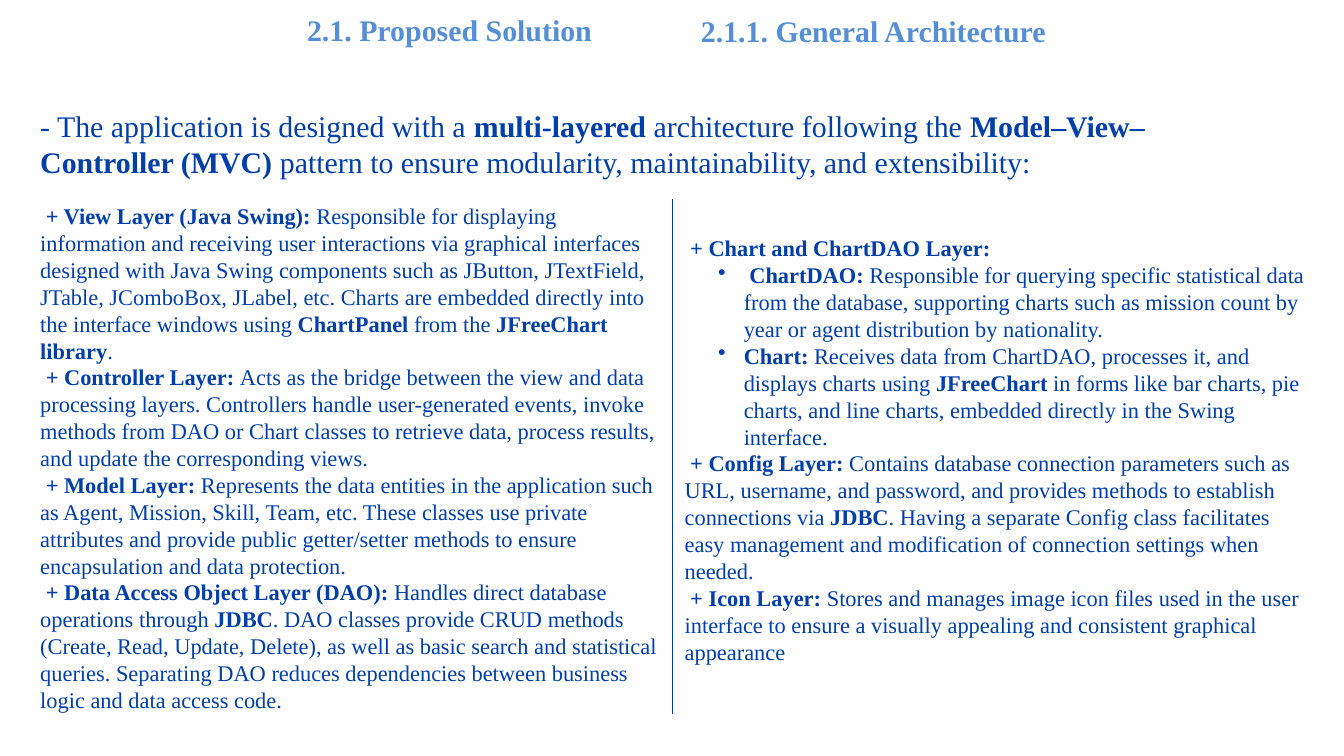
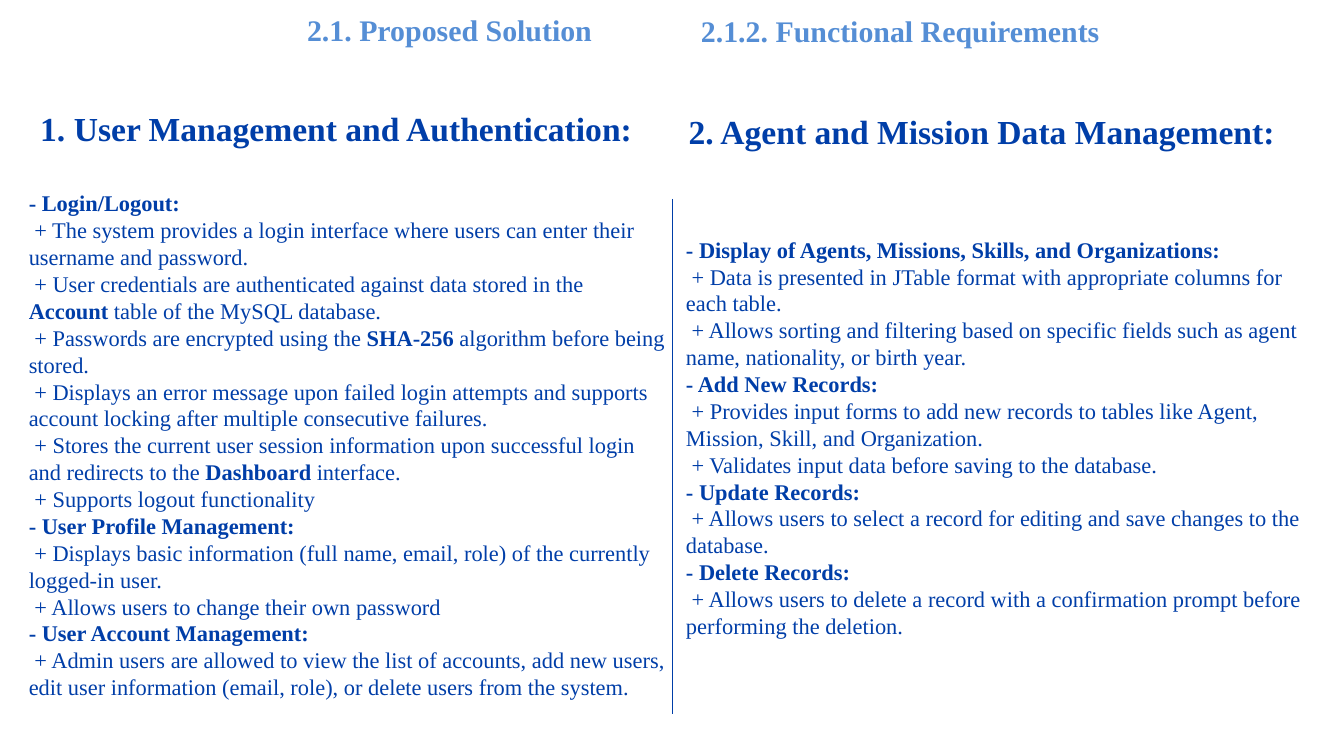
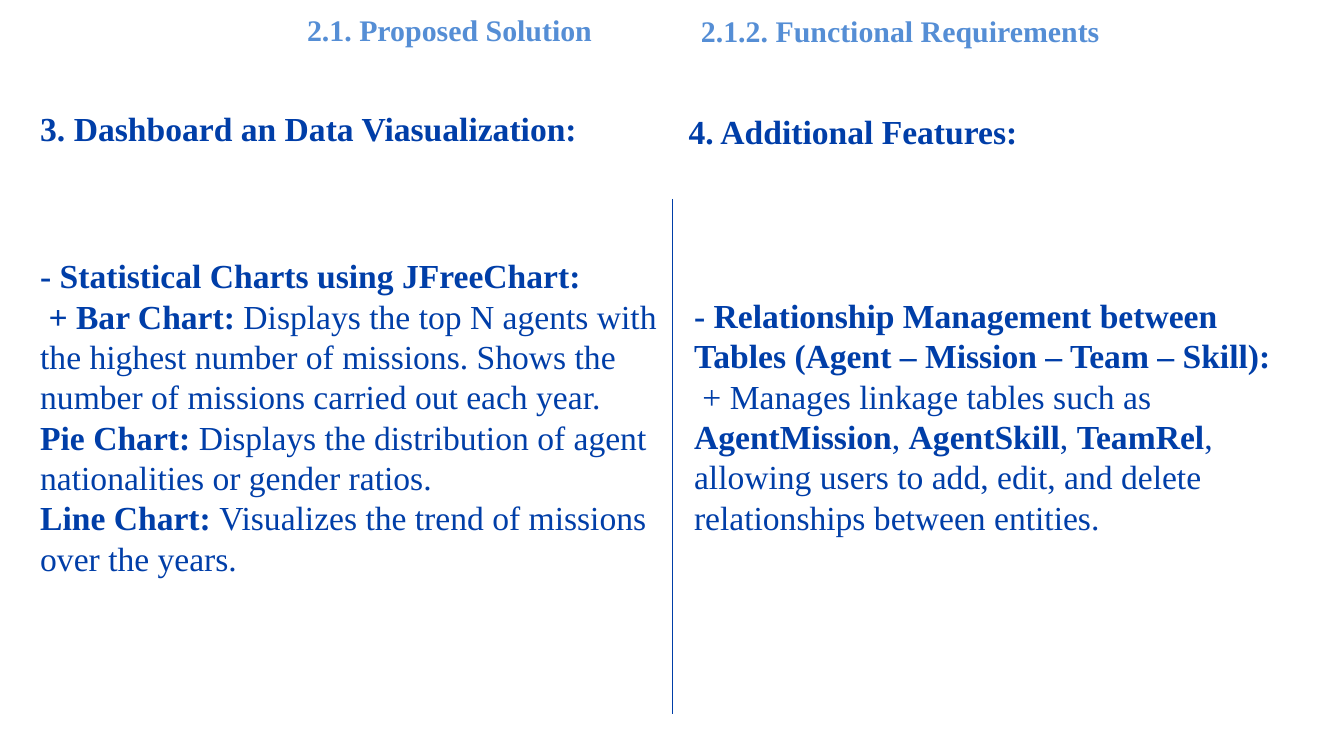
from lxml import etree
from pptx import Presentation
from pptx.dml.color import RGBColor
from pptx.enum.shapes import MSO_CONNECTOR, MSO_SHAPE
from pptx.enum.text import MSO_ANCHOR, MSO_AUTO_SIZE, PP_ALIGN
from pptx.oxml.ns import qn
from pptx.util import Inches, Pt

# Content: **marks** enclose bold words, a leading • makes a bullet.
SECTION = "2.1. Proposed Solution"
ARCHITECTURE = ("2.1.1. General Architecture", 5.39)  # title, width
REQUIREMENTS = ("2.1.2. Functional Requirements", 6.19)

VIEW_TO_DAO = [
    "** + View Layer (Java Swing): **Responsible for displaying information and receiving user interactions via graphical interfaces designed with Java Swing components such as JButton, JTextField, JTable, JComboBox, JLabel, etc. Charts are embedded directly into the interface windows using **ChartPanel** from the **JFreeChart library**.",
    "** + Controller Layer: **Acts as the bridge between the view and data processing layers. Controllers handle user-generated events, invoke methods from DAO or Chart classes to retrieve data, process results, and update the corresponding views.",
    "** + Model Layer: **Represents the data entities in the application such as Agent, Mission, Skill, Team, etc. These classes use private attributes and provide public getter/setter methods to ensure encapsulation and data protection.",
    "** + Data Access Object Layer (DAO): **Handles direct database operations through **JDBC**. DAO classes provide CRUD methods (Create, Read, Update, Delete), as well as basic search and statistical queries. Separating DAO reduces dependencies between business logic and data access code.",
]
CHART_TO_ICON = [
    "** + Chart and ChartDAO Layer:**",
    "•** ChartDAO:** Responsible for querying specific statistical data from the database, supporting charts such as mission count by year or agent distribution by nationality.",
    "•**Chart:** Receives data from ChartDAO, processes it, and displays charts using **JFreeChart** in forms like bar charts, pie charts, and line charts, embedded directly in the Swing interface.",
    "** + Config Layer: **Contains database connection parameters such as URL, username, and password, and provides methods to establish connections via** JDBC**. Having a separate Config class facilitates easy management and modification of connection settings when needed.",
    "** + Icon Layer: **Stores and manages image icon files used in the user interface to ensure a visually appealing and consistent graphical appearance",
]
USERS = [
    "**- Login/Logout:**",
    " + The system provides a login interface where users can enter their username and password.",
    " + User credentials are authenticated against data stored in the **Account** table of the MySQL database.",
    " + Passwords are encrypted using the **SHA-256** algorithm before being stored.",
    " + Displays an error message upon failed login attempts and supports account locking after multiple consecutive failures.",
    " + Stores the current user session information upon successful login and redirects to the **Dashboard** interface.",
    " + Supports logout functionality",
    "**- User Profile Management:**",
    " + Displays basic information (full name, email, role) of the currently logged-in user.",
    " + Allows users to change their own password",
    "**- User Account Management:**",
    " + Admin users are allowed to view the list of accounts, add new users, edit user information (email, role), or delete users from the system.",
]
RECORDS = [
    "**- Display of Agents, Missions, Skills, and Organizations:**",
    " + Data is presented in JTable format with appropriate columns for each table.",
    " + Allows sorting and filtering based on specific fields such as agent name, nationality, or birth year.",
    "**- Add New Records:**",
    " + Provides input forms to add new records to tables like Agent, Mission, Skill, and Organization.",
    " + Validates input data before saving to the database.",
    "**- Update Records:**",
    " + Allows users to select a record for editing and save changes to the database.",
    "**- Delete Records:**",
    " + Allows users to delete a record with a confirmation prompt before performing the deletion.",
]
CHARTS = [
    "**- Statistical Charts using JFreeChart:**",
    "** + Bar Chart: **Displays the top N agents with the highest number of missions. Shows the number of missions carried out each year.",
    "**Pie Chart: **Displays the distribution of agent nationalities or gender ratios.",
    "**Line Chart: **Visualizes the trend of missions over the years.",
]
RELATIONS = [
    "**- Relationship Management between Tables (Agent – Mission – Team – Skill):**",
    " + Manages linkage tables such as **AgentMission**, **AgentSkill**, **TeamRel**, allowing users to add, edit, and delete relationships between entities.",
]
MVC = "- The application is designed with a **multi-layered** architecture following the **Model–View–Controller (MVC)** pattern to ensure modularity, maintainability, and extensibility:"

# Style and shared places (left, top, width, height in inches)
WIDTH, HEIGHT = 20, 11.25
MIDDLE = WIDTH / 2
FONT = "Times New Roman"
COLORS = {"title": "558ED5", "body": "003EA8", "panel": "FFFFFF"}
PANEL = (0.33, 1.54, WIDTH - 2 * 0.33, 9.33)
SECTION_AT = (4.47, 0.12, 4.48, 0.64)
LEFT_HEADING = (0.5, 1.56, 9.5, 0.71)
RIGHT_HEADING = (10.15, 1.6, 9.5, 0.71)
INTRO = (0.5, 1.56, 18.34, 1.18)
DIVIDER_TOP, DIVIDER_BOTTOM = 2.96, 10.62
MARGIN = 0.5
BULLET_MARGIN, BULLET_HANG = 1.38, -0.38

# Per slide: title, then texts as (place, paragraphs, size, left margin)
SLIDES = [
    (ARCHITECTURE, [
        (INTRO, [MVC], 32, 0),
        ((0, 2.96, 10, 7.78), VIEW_TO_DAO, 24, MARGIN),
        ((9.59, 3.44, 10, 6.56), CHART_TO_ICON, 24, MARGIN),
    ]),
    (REQUIREMENTS, [
        (LEFT_HEADING, ["**1. User Management and Authentication:**"], 36, 0),
        ((-0.17, 2.77, 10.17, 8.58), USERS, 24, MARGIN),
        ((10.11, 3.46, 9.35, 6.16), RECORDS, 24, 0),
        (RIGHT_HEADING, ["**2. Agent and Mission Data Management:**"], 36, 0),
    ]),
    (REQUIREMENTS, [
        (LEFT_HEADING, ["**3. Dashboard an Data Viasualization:**"], 36, 0),
        ((0.5, 3.75, 9.5, 4.95), CHARTS, 36, 0),
        ((10.23, 4.34, 9.35, 3.74), RELATIONS, 36, 0),
        (RIGHT_HEADING, ["**4. Additional Features:**"], 36, 0),
    ]),
]


def rgb(name):
    return RGBColor.from_string(COLORS[name])


def inches(place):
    return [Inches(length) for length in place]


def indent(paragraph, margin, bullet):
    props = paragraph._p.get_or_add_pPr()
    props.set("marL", str(Inches(BULLET_MARGIN if bullet else margin)))
    props.set("indent", str(Inches(BULLET_HANG if bullet else 0)))
    if bullet:
        etree.SubElement(props, qn("a:buChar")).set("char", "•")


def write(box, place, paragraphs, size=32, color="body", margin=0, wrap=True):
    box.left, box.top, box.width, box.height = inches(place)
    frame = box.text_frame
    frame.word_wrap = wrap
    frame.auto_size = MSO_AUTO_SIZE.SHAPE_TO_FIT_TEXT
    frame.vertical_anchor = MSO_ANCHOR.TOP
    for number, text in enumerate(paragraphs):
        paragraph = frame.add_paragraph() if number else frame.paragraphs[0]
        paragraph.alignment = PP_ALIGN.LEFT
        indent(paragraph, margin, text.startswith("•"))
        for part, words in enumerate(text.removeprefix("•").split("**")):
            if words:
                run = paragraph.add_run()
                run.text = words
                run.font.name, run.font.size = FONT, Pt(size)
                run.font.bold = part % 2 == 1
                run.font.color.rgb = rgb(color)


def add_text(slide, place, paragraphs, **style):
    write(slide.shapes.add_textbox(*inches(place)), place, paragraphs, **style)


def add_frame(slide, title, title_width):
    # White panel behind the text
    panel = slide.shapes.add_shape(MSO_SHAPE.RECTANGLE, *inches(PANEL))
    panel.shadow.inherit = False
    panel.fill.solid()
    panel.fill.fore_color.rgb = rgb("panel")
    panel.line.fill.background()

    # Section name and slide title
    heading = {"color": "title", "wrap": False}
    add_text(slide, SECTION_AT, [f"**{SECTION}**"], **heading)
    write(slide.shapes.title, (10.33, 0.14, title_width, 0.64), [f"**{title}**"], **heading)

    # Line between the columns
    divider = slide.shapes.add_connector(
        MSO_CONNECTOR.STRAIGHT, *inches((MIDDLE, DIVIDER_TOP, MIDDLE, DIVIDER_BOTTOM)))
    divider.line.color.rgb = rgb("body")
    divider.line.width = Pt(0.75)
    etree.SubElement(divider._element.spPr, qn("a:effectLst"))


def main():
    deck = Presentation()
    deck.slide_width, deck.slide_height = inches((WIDTH, HEIGHT))
    title_only = deck.slide_layouts[5]
    for (title, title_width), texts in SLIDES:
        slide = deck.slides.add_slide(title_only)
        add_frame(slide, title, title_width)
        for place, paragraphs, size, margin in texts:
            add_text(slide, place, paragraphs, size=size, margin=margin)
    deck.save("out.pptx")


if __name__ == "__main__":
    main()
